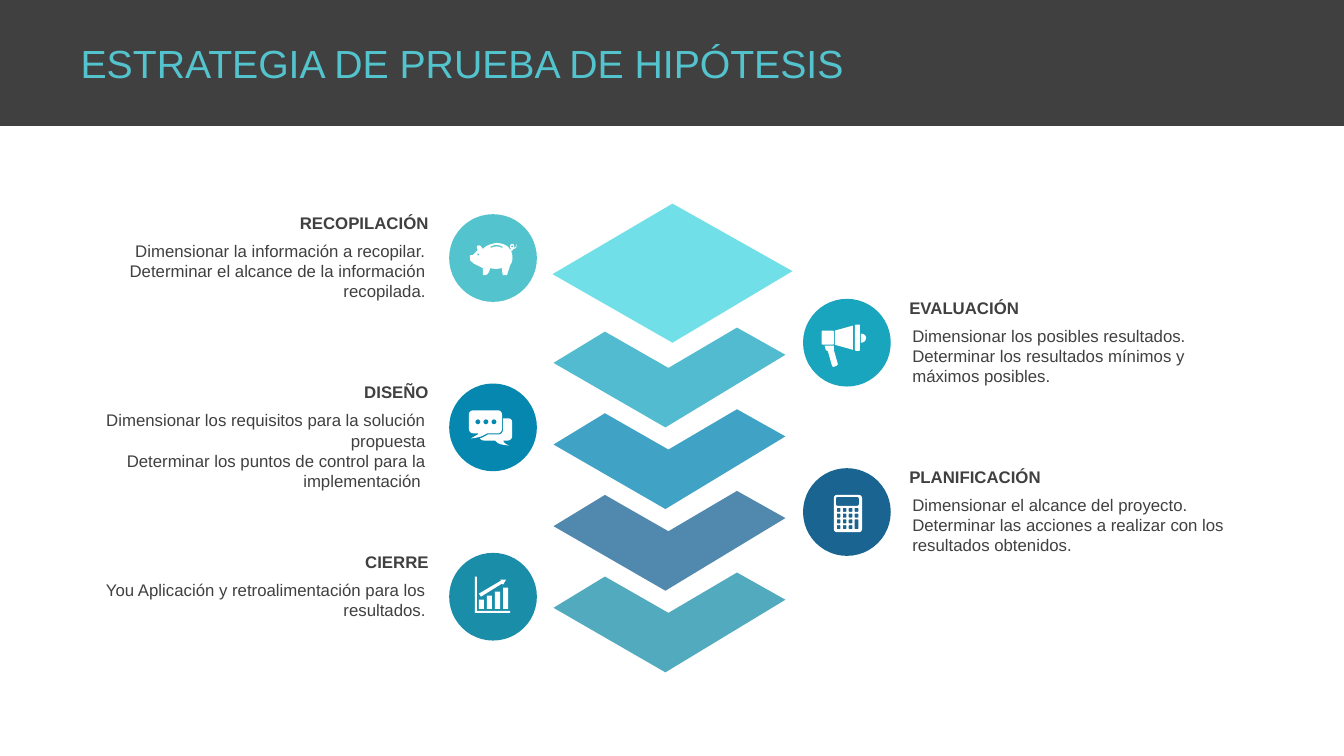
import math

from pptx import Presentation
from pptx import util as u
from pptx.dml.color import RGBColor
from pptx.enum import shapes, text

TITLE_COLOR = RGBColor(0x53, 0xC3, 0xCD)
DARK = RGBColor(0x40, 0x40, 0x40)
WHITE = RGBColor(0xFF, 0xFF, 0xFF)
LAYER_COLORS = [RGBColor(0x52, 0xBB, 0xD0), RGBColor(0x40, 0xA3, 0xC5),
                RGBColor(0x51, 0x88, 0xAE), RGBColor(0x52, 0xAA, 0xBF)]
TOP_COLOR = RGBColor(0x70, 0xDF, 0xE7)

WIDTH, HEIGHT = 13.33, 7.5
FIRST_ROW, ROW = 2.56, 0.84        # centre of the first step, distance to the next
DISC_COLUMNS = (4.89, 8.4)         # left and right disc centres
DISC = 0.87
LAYER_STEP = 0.81
UNIT = 0.01                        # icon grid, measured from the disc centre

TOP_LAYER = [(6.67, 2.02), (7.86, 2.69), (6.67, 3.4), (5.48, 2.72)]
CHEVRON = [(5.49, 3.6), (6, 3.29), (6.63, 3.65), (7.31, 3.25), (7.79, 3.52), (6.6, 4.24)]


def outline(commands):
    """Turn M, L and C commands into points, sampling each curve."""
    points = []
    for letter in "MLC":
        commands = commands.replace(letter, f"|{letter} ")
    for command in commands.split("|")[1:]:
        letter, *numbers = command.split()
        values = [float(number) for number in numbers]
        pairs = list(zip(values[::2], values[1::2]))
        if letter != "C":
            points += pairs
            continue
        curve = [points[-1], *pairs]
        for t in (0.25, 0.5, 0.75, 1):
            weights = [math.comb(3, k) * t ** k * (1 - t) ** (3 - k) for k in range(4)]
            points.append(tuple(sum(weight * point[axis] for weight, point in zip(weights, curve))
                                for axis in (0, 1)))
    return points


def box(left, top, right, bottom, radius=0):
    if not radius:
        return [(left, top), (right, top), (right, bottom), (left, bottom)]
    corners = [(right - radius, bottom - radius), (left + radius, bottom - radius),
               (left + radius, top + radius), (right - radius, top + radius)]
    return [(x + radius * math.cos(math.radians(90 * turn + angle)),
             y + radius * math.sin(math.radians(90 * turn + angle)))
            for turn, (x, y) in enumerate(corners) for angle in (0, 30, 60, 90)]


def circle(x, y, radius):
    return box(x - radius, y - radius, x + radius, y + radius, radius)


def pig():
    body = ("M3 -15 C8 -15 14 -13 16 -10 L17 -8 L18 -9 C17 -10 17 -10 17 -12 "
            "C17 -13 18 -14 19 -14 C21 -14 21 -13 21 -11 L21 -10 C22 -11 23 -10 23 -14 "
            "C24 -11 23 -9 20 -9 C20 -8 19 -7 18 -7 L19 -4 C20 0 19 5 17 7 "
            "C16 11 15 13 14 17 L10 17 C9 15 9 12 9 10 C5 11 0 11 -3 10 "
            "C-3 13 -5 16 -7 17 L-10 17 L-10 10 C-15 7 -25 5 -23 -2 "
            "C-23 -3 -21 -3 -20 -3 C-18 -5 -17 -6 -15 -8 C-16 -9 -16 -12 -16 -12 "
            "C-12 -14 -12 -11 -10 -9 C-7 -13 -1 -14 3 -15")
    slot = "M3 -13 C1 -13 -1 -12 -3 -11 L-2 -10 C1 -12 6 -12 9 -10 L10 -11 C8 -12 6 -13 3 -13"
    return [outline(body), outline(slot), circle(-14.5, -3.5, 1), circle(19, -11.5, 1)]


def megaphone():
    handle = ("M-13 3 L-13 7 L-9 21 C-9 22 -10 23 -11 23 L-13 24 "
              "C-14 24 -15 23 -15 22 L-19 8 C-20 8 -20 8 -21 7 L-22 3")
    return [outline(handle), outline("M14 -9 C17 -9 19 -7 19 -5 C19 -2 17 0 14 0"),
            box(-25, -12, -13, 2, 1), outline("M6 -17 L6 7 L-12 2 L-12 -12"),
            box(8, -18, 13, 8, 1)]


def chat():
    front = ("M-19 -17 L5 -17 C7 -17 9 -15 9 -13 L9 1 C9 4 7 6 5 6 L-6 6 "
             "C-11 9 -13 10 -22 11 C-17 8 -16 8 -14 6 L-19 6 C-22 6 -24 4 -24 1 "
             "L-24 -13 C-24 -15 -22 -17 -19 -17")
    back = ("M10 -9 L15 -9 C17 -9 19 -8 19 -5 L19 9 C19 11 17 13 15 13 L10 13 "
            "C11 15 11 16 16 18 C7 17 6 17 2 13 L-9 13 C-11 13 -12 12 -13 11 "
            "C-10 10 -8 9 -5 7 L6 7 C8 7 10 5 10 2")
    return [outline(front), outline(back)] + [circle(x, -5.5, 2.5) for x in (-15, -7, 1)]


def calculator():
    keys = [(column, row) for row in range(4) for column in range(4) if (column, row) != (3, 3)]
    contours = [box(-13, -17, 15, 20, 3), box(-11, -15, 12, -6, 2)]
    for column, row in keys:
        left, top = -10 + 5.9 * column, -4 + 5.7 * row
        bottom = 17 if (column, row) == (3, 2) else top + 3.8
        contours.append(box(left, top, left + 3.6, bottom, 0.5))
    return contours


def bar_chart():
    bars = [box(-14 + 8 * index, 3 - 4 * index, -9 + 8 * index, 12) for index in range(4)]
    arrow = "M7 -17 L13 -17 L10 -12 L9 -13 L-12 0 L-14 -3 L8 -16"
    axes = "M-18 -20 L-16 -20 L-16 14 L17 14 L17 16 L-18 16"
    return bars + [outline(arrow), outline(axes)]


STEPS = [
    ("RECOPILACIÓN", ["Dimensionar la información a recopilar.",
                      "Determinar el alcance de la información recopilada."],
     RGBColor(0x53, 0xC3, 0xCD), pig, 3.39),
    ("EVALUACIÓN", ["Dimensionar los posibles resultados.",
                    "Determinar los resultados mínimos y máximos posibles."],
     RGBColor(0x19, 0xA5, 0xBE), megaphone, 3.39),
    ("DISEÑO", ["Dimensionar los requisitos para la solución propuesta",
                "Determinar los puntos de control para la implementación "],
     RGBColor(0x05, 0x87, 0xAF), chat, 4.13),
    ("PLANIFICACIÓN", ["Dimensionar el alcance del proyecto.",
                       "Determinar las acciones a realizar con los resultados obtenidos."],
     RGBColor(0x19, 0x64, 0x91), calculator, 3.39),
    ("CIERRE", ["You Aplicación y retroalimentación para los resultados."],
     RGBColor(0x1A, 0x8E, 0xA9), bar_chart, 3.39),
]


def paint(shape, color):
    shape.shadow.inherit = False
    shape.fill.solid()
    shape.fill.fore_color.rgb = color
    shape.line.fill.background()


def add_preset(slide, kind, left, top, width, height, color):
    shape = slide.shapes.add_shape(kind, *(u.Inches(v) for v in (left, top, width, height)))
    paint(shape, color)
    return shape


def add_outline(slide, contours, color, origin=(0, 0), unit=1.0):
    """Draw closed contours as one shape; inner contours become holes."""
    placed = [[tuple(u.Inches(start + unit * value) for start, value in zip(origin, point))
               for point in contour] for contour in contours]
    builder = slide.shapes.build_freeform(*placed[0][0], scale=1.0)
    for index, (start, *rest) in enumerate(placed):
        if index:
            builder.move_to(*start)
        builder.add_line_segments(rest, close=True)
    paint(builder.convert_to_shape(), color)


def write(frame, lines, color, alignment=text.PP_ALIGN.LEFT, **font_values):
    frame.word_wrap = True
    for index, line in enumerate(lines):
        paragraph = frame.paragraphs[0] if index == 0 else frame.add_paragraph()
        paragraph.text = line
        paragraph.alignment = alignment
        for name, value in {"name": "Arial", **font_values}.items():
            setattr(paragraph.font, name, value)
        paragraph.font.color.rgb = color


def add_text(slide, left, top, width, height, lines, alignment, bold=False):
    shape = slide.shapes.add_textbox(*(u.Inches(v) for v in (left, top, width, height)))
    write(shape.text_frame, lines, DARK, alignment, size=u.Pt(12), bold=bold)


def add_header(slide):
    title = slide.shapes.title
    for name, value in {"left": 0.7, "top": 0.34, "width": 12.21, "height": 0.57}.items():
        setattr(title, name, u.Inches(value))
    title.text_frame.vertical_anchor = text.MSO_ANCHOR.MIDDLE
    write(title.text_frame, ["ESTRATEGIA DE PRUEBA DE HIPÓTESIS"], TITLE_COLOR, size=u.Pt(28))
    band = add_preset(slide, shapes.MSO_SHAPE.RECTANGLE, 0, 0, WIDTH, HEIGHT / 6, DARK)
    title.element.addprevious(band.element)


def add_step(slide, index, heading, lines, color, icon, width):
    side = index % 2
    x, y = DISC_COLUMNS[side], FIRST_ROW + ROW * index
    add_preset(slide, shapes.MSO_SHAPE.OVAL, x - DISC / 2, y - DISC / 2, DISC, DISC, color)
    add_outline(slide, icon(), WHITE, (x, y), UNIT)
    alignment = text.PP_ALIGN.LEFT if side else text.PP_ALIGN.RIGHT
    heading_left = 8.92 if side else 0.91
    body_left = 8.95 if side else 4.32 - width
    add_text(slide, heading_left, y - 0.5, 3.44, 0.3, [heading], alignment, bold=True)
    add_text(slide, body_left, y - 0.22, width, 0.71, lines, alignment)


def main():
    presentation = Presentation()
    presentation.slide_width, presentation.slide_height = u.Inches(WIDTH), u.Inches(HEIGHT)
    slide = presentation.slides.add_slide(presentation.slide_layouts.get_by_name("Title Only"))
    add_header(slide)
    add_outline(slide, [TOP_LAYER], TOP_COLOR)
    for index, color in enumerate(LAYER_COLORS):
        add_outline(slide, [CHEVRON], color, (0, LAYER_STEP * index))
    for index, step in enumerate(STEPS):
        add_step(slide, index, *step)
    presentation.save("out.pptx")


if __name__ == "__main__":
    main()
